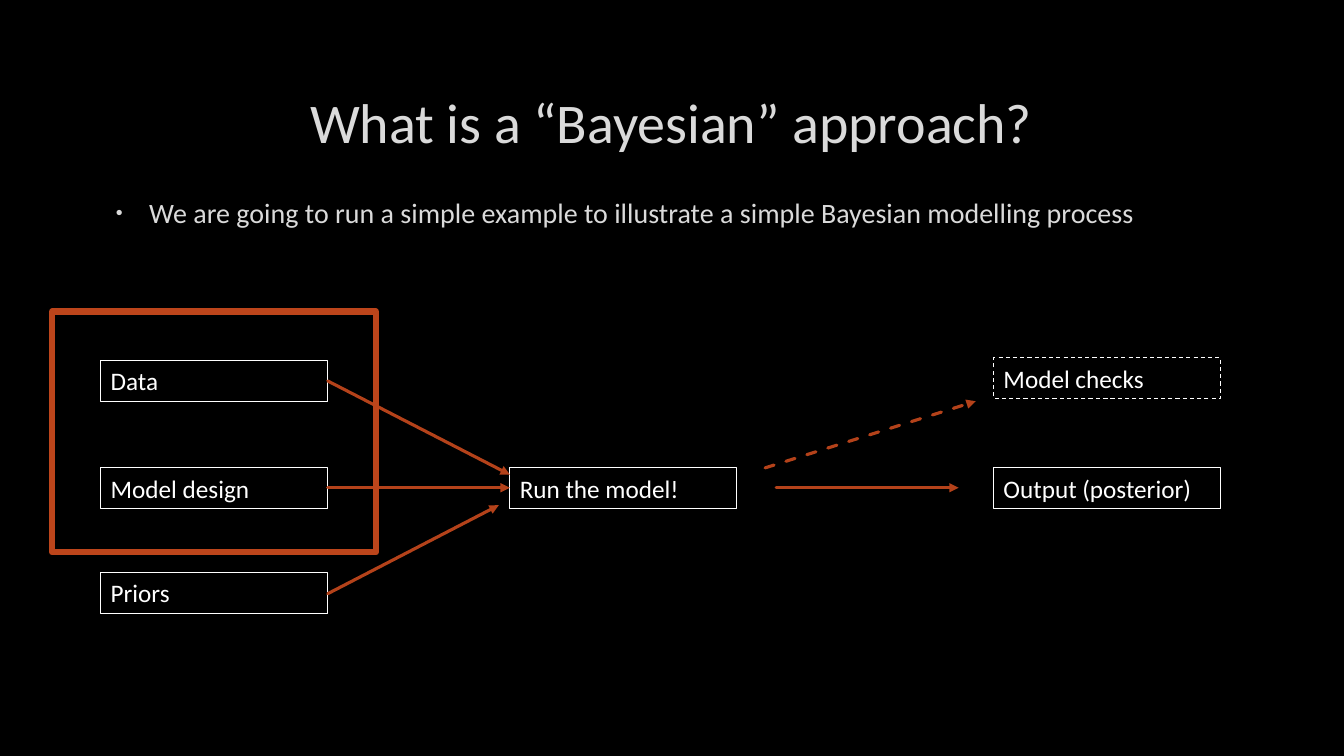
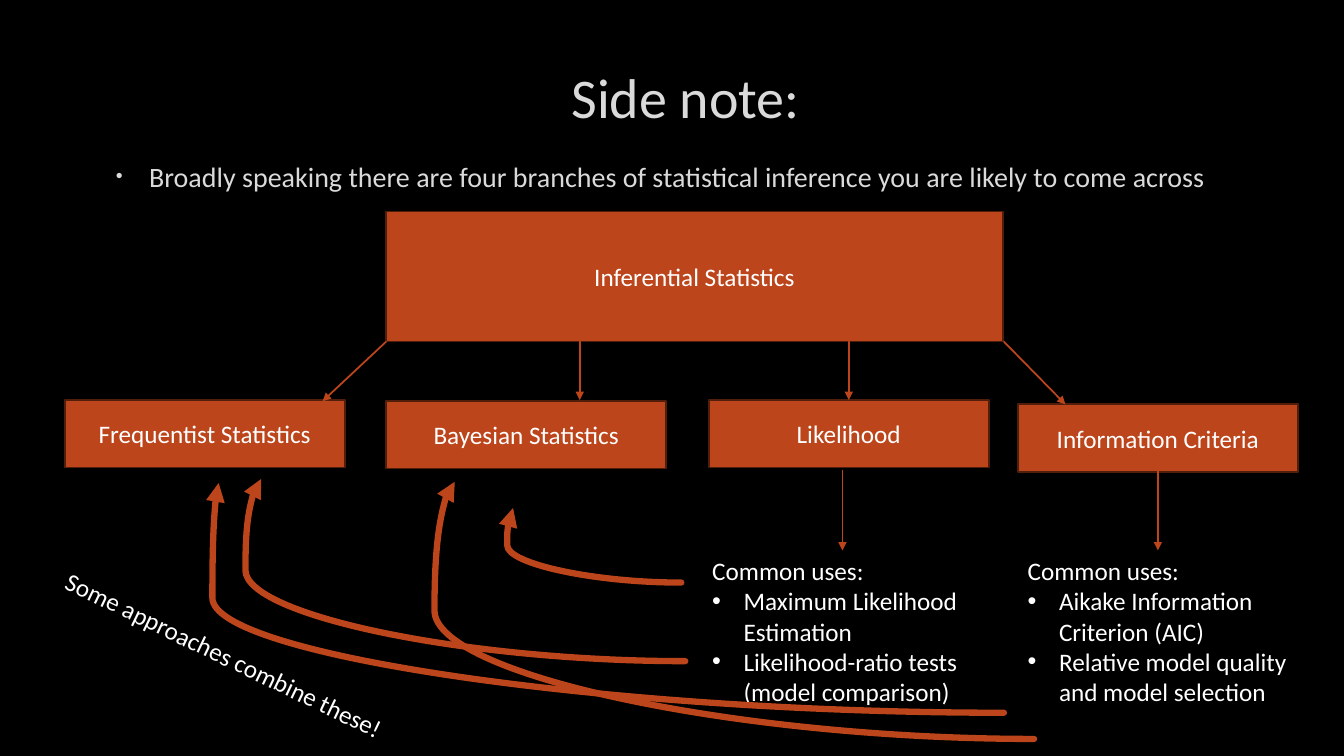
from lxml import etree
from pptx import Presentation
from pptx.dml.color import RGBColor
from pptx.enum.dml import MSO_LINE
from pptx.enum.shapes import MSO_CONNECTOR, MSO_SHAPE
from pptx.enum.text import MSO_ANCHOR, PP_ALIGN
from pptx.oxml.ns import qn
from pptx.util import Cm, Pt

BLACK = RGBColor(0x00, 0x00, 0x00)
WHITE = RGBColor(0xFF, 0xFF, 0xFF)
SILVER = RGBColor(0xDA, 0xDA, 0xDA)
RUST = RGBColor(0xBC, 0x45, 0x1B)
ARROW_RUST = RGBColor(0xB4, 0x42, 0x1A)
DARK_RUST = RGBColor(0x52, 0x1E, 0x0C)

LEFT, CENTER = PP_ALIGN.LEFT, PP_ALIGN.CENTER
TOP, MIDDLE = MSO_ANCHOR.TOP, MSO_ANCHOR.MIDDLE
DASH = MSO_LINE.DASH
STRAIGHT, CURVE = MSO_CONNECTOR.STRAIGHT, MSO_CONNECTOR.CURVE
RECTANGLE = MSO_SHAPE.RECTANGLE


def apply(target, values):
    for key, value in values.items():
        setattr(target, key, value)


def add_xml(parent, tag, **attributes):
    return etree.SubElement(parent, qn(tag), attributes)


class Deck:
    """Hold the shared style and the slide being built."""

    text_format = {"name": "Calibri", "size": Pt(18)}
    title_format = {"name": "Calibri", "size": Pt(40)}
    body_format = {"name": "Calibri", "size": Pt(20)}

    def __init__(self):
        self.presentation = Presentation()
        apply(self.presentation, {"slide_width": Cm(33.87), "slide_height": Cm(19.05)})
        self.slide = None

    def new_slide(self):
        layout = self.presentation.slide_layouts[6]
        self.slide = self.presentation.slides.add_slide(layout)
        fill = self.slide.background.fill
        fill.solid()
        fill.fore_color.rgb = BLACK

    def put_text(self, paragraph, text, style, color, align=LEFT):
        paragraph.alignment = align
        run = paragraph.add_run()
        run.text = text
        apply(run.font, style)
        run.font.color.rgb = color

    def bullet(self, paragraph, margin, hang, color, percent):
        properties = paragraph._p.get_or_add_pPr()
        properties.set("marL", str(Cm(margin)))
        properties.set("indent", str(-Cm(hang)))
        bullet_color = add_xml(properties, "a:buClr")
        add_xml(bullet_color, "a:srgbClr", val=str(color))
        add_xml(properties, "a:buSzPct", val=str(percent * 1000))
        add_xml(properties, "a:buFont", typeface="Arial")
        add_xml(properties, "a:buChar", char="•")

    def text_frame(self, place, anchor=TOP, wrap=True, rotation=0):
        box = self.slide.shapes.add_textbox(*map(Cm, place))
        box.rotation = rotation
        apply(box.text_frame, {"word_wrap": wrap, "vertical_anchor": anchor})
        return box.text_frame

    def title(self, text, left, top, height):
        frame = self.text_frame((left, top, 28.75, height), MIDDLE)
        self.put_text(frame.paragraphs[0], text, self.title_format, SILVER, CENTER)

    def body(self, text, top):
        paragraph = self.text_frame((2.54, top, 28.75, 11.28)).paragraphs[0]
        self.bullet(paragraph, 0.97, 0.84, SILVER, 70)
        paragraph.space_after = Pt(6)
        self.put_text(paragraph, text, self.body_format, SILVER)

    def note(self, text, place, rotation):
        frame = self.text_frame(place, wrap=False, rotation=rotation)
        self.put_text(frame.paragraphs[0], text, self.text_format, WHITE)

    def bullet_list(self, heading, items, place):
        frame = self.text_frame(place)
        self.put_text(frame.paragraphs[0], heading, self.text_format, WHITE)
        for item in items:
            paragraph = frame.add_paragraph()
            self.bullet(paragraph, 0.79, 0.79, WHITE, 100)
            self.put_text(paragraph, item, self.text_format, WHITE)

    def rectangle(self, place, line, width, fill=None, dash=None):
        shape = self.slide.shapes.add_shape(RECTANGLE, *map(Cm, place))
        shape.shadow.inherit = False
        if fill is None:
            shape.fill.background()
        else:
            shape.fill.solid()
            shape.fill.fore_color.rgb = fill
        shape.line.color.rgb = line
        apply(shape.line, {"width": Pt(width), "dash_style": dash})
        return shape

    def label(self, shape, text, align, anchor):
        frame = shape.text_frame
        apply(frame, {"word_wrap": True, "vertical_anchor": anchor})
        self.put_text(frame.paragraphs[0], text, self.text_format, WHITE, align)

    def step(self, text, left, top, dash=None):
        shape = self.rectangle((left, top, 5.72, 1.02), WHITE, 0.75, dash=dash)
        self.label(shape, text, LEFT, TOP)

    def branch(self, text, place):
        shape = self.rectangle(place, DARK_RUST, 1.25, RUST)
        self.label(shape, text, CENTER, MIDDLE)

    def arrow(self, ends, color, width, dash=None, kind=STRAIGHT):
        connector = self.slide.shapes.add_connector(kind, *map(Cm, ends))
        connector.line.color.rgb = color
        apply(connector.line, {"width": Pt(width), "dash_style": dash})
        properties = connector._element.spPr
        outline = properties.find(qn("a:ln"))
        outline.set("cap", "rnd")
        add_xml(outline, "a:round")
        add_xml(outline, "a:tailEnd", type="triangle")
        add_xml(properties, "a:effectLst")
        return connector

    def curve(self, tip, start, bend):
        connector = self.arrow((*tip, *start), RUST, 4.5, kind=CURVE)
        connector.rotation = 180
        guides = connector._element.spPr.find(".//" + qn("a:avLst"))
        add_xml(guides, "a:gd", name="adj1", fmla=f"val {round(bend * 1000)}")


def build_process(deck):
    deck.new_slide()
    deck.title("What is a “Bayesian” approach?", 2.54, 1.7, 2.69)
    deck.body("We are going to run a simple example to illustrate a simple "
              "Bayesian modelling process", 4.8)
    inputs, model, results = 2.54, 12.85, 25.04
    main_row, main_axis, inputs_edge = 11.79, 12.29, 8.26
    steps = [("Data", inputs, 9.09), ("Model design", inputs, main_row),
             ("Priors", inputs, 14.43), ("Run the model!", model, main_row),
             ("Output (posterior)", results, main_row),
             ("Model checks", results, 9.02, DASH)]
    for step in steps:
        deck.step(*step)
    flows = [((inputs_edge, 14.96, 12.57, 12.73), None),
             ((inputs_edge, 9.6, model, 11.96), None),
             ((inputs_edge, main_axis, model, main_axis), None),
             ((19.56, main_axis, 24.16, main_axis), None),
             ((19.28, main_row, 24.59, 10.11), DASH)]
    for ends, dash in flows:
        deck.arrow(ends, ARROW_RUST, 2.25, dash)
    deck.rectangle((1.32, 7.85, 8.15, 6.07), RUST, 4.5)


def build_branches(deck):
    deck.new_slide()
    deck.title("Side note:", 2.9, 0.66, 3.53)
    deck.body("Broadly speaking there are four branches of statistical "
              "inference you are likely to come across", 3.89)
    deck.branch("Inferential Statistics", (9.73, 5.33, 15.54, 3.28))
    branches = [("Frequentist Statistics", 1.63, 10.08),
                ("Bayesian Statistics", 9.73, 10.11),
                ("Likelihood", 17.86, 10.08),
                ("Information Criteria", 25.65, 10.19)]
    for text, left, top in branches:
        deck.branch(text, (left, top, 7.06, 1.7))
    root_bottom = 8.61
    for start, end, top in [(9.73, 8.13, 10.11), (14.61, 14.61, 10.08),
                            (21.39, 21.39, 10.08), (25.3, 26.85, 10.19)]:
        deck.arrow((start, root_bottom, end, top), RUST, 1.25)
    uses_top = 13.87
    uses = [(25.65, 4.88, 29.18, ["Aikake Information Criterion (AIC)",
                                  "Relative model quality and model selection"]),
            (17.7, 4.11, 21.23, ["Maximum Likelihood Estimation",
                                 "Likelihood-ratio tests (model comparison)"])]
    for left, height, axis, items in uses:
        deck.bullet_list("Common uses:", items, (left, uses_top, 7.06, height))
        deck.arrow((axis, 11.86, axis, uses_top), RUST, 1.25)
    deck.note("Some approaches combine these!", (0.99, 16.15, 9.98, 1.02), 25.7)
    for tip, start, bend in [((12.93, 12.8), (17.17, 14.68), 103.5),
                             ((5.51, 12.17), (25.3, 17.96), 100.8),
                             ((11.46, 12.14), (26.06, 18.62), 103.5),
                             ((6.58, 12.07), (17.27, 16.66), 103.7)]:
        deck.curve(tip, start, bend)


def main():
    deck = Deck()
    build_process(deck)
    build_branches(deck)
    deck.presentation.save("out.pptx")


if __name__ == "__main__":
    main()
